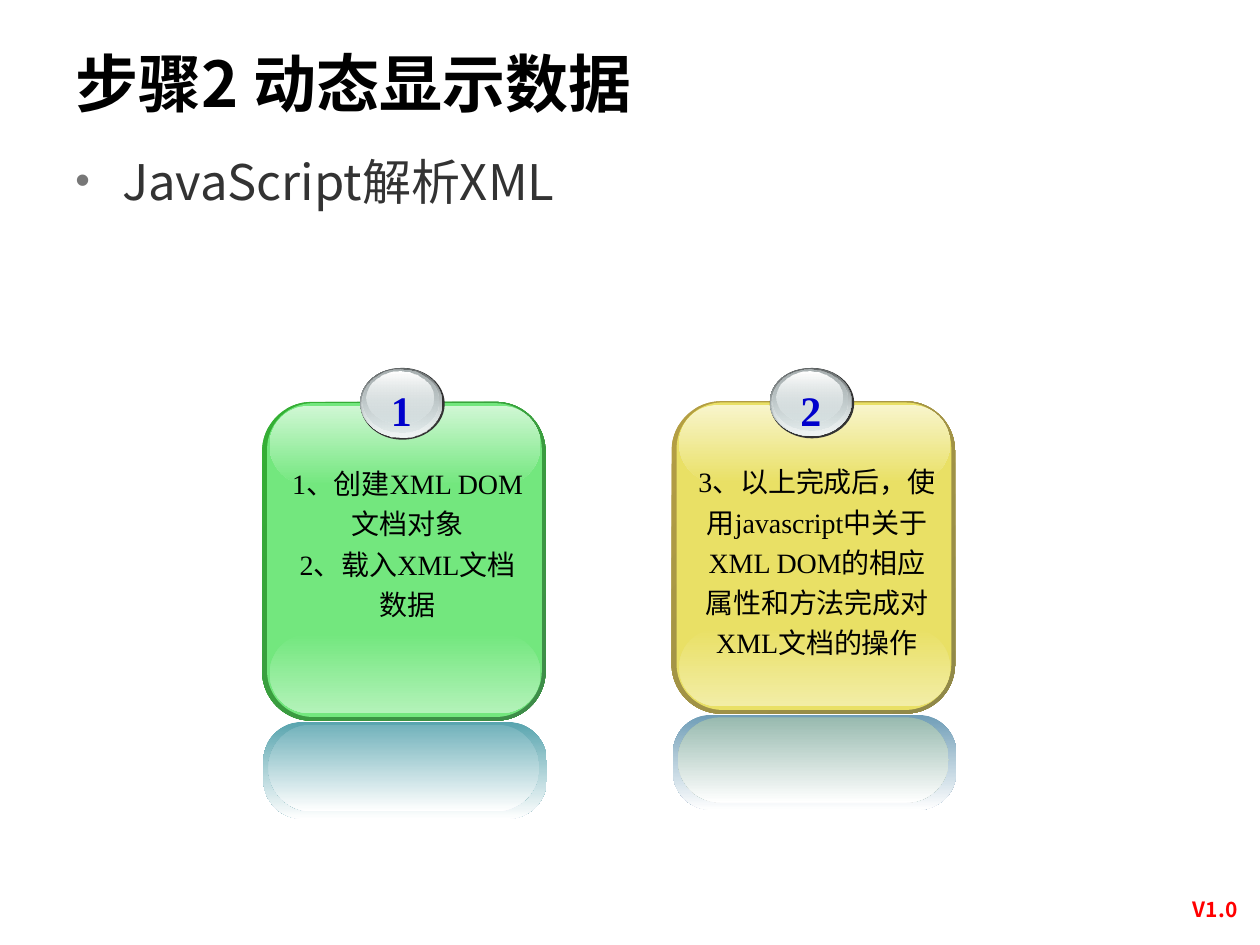
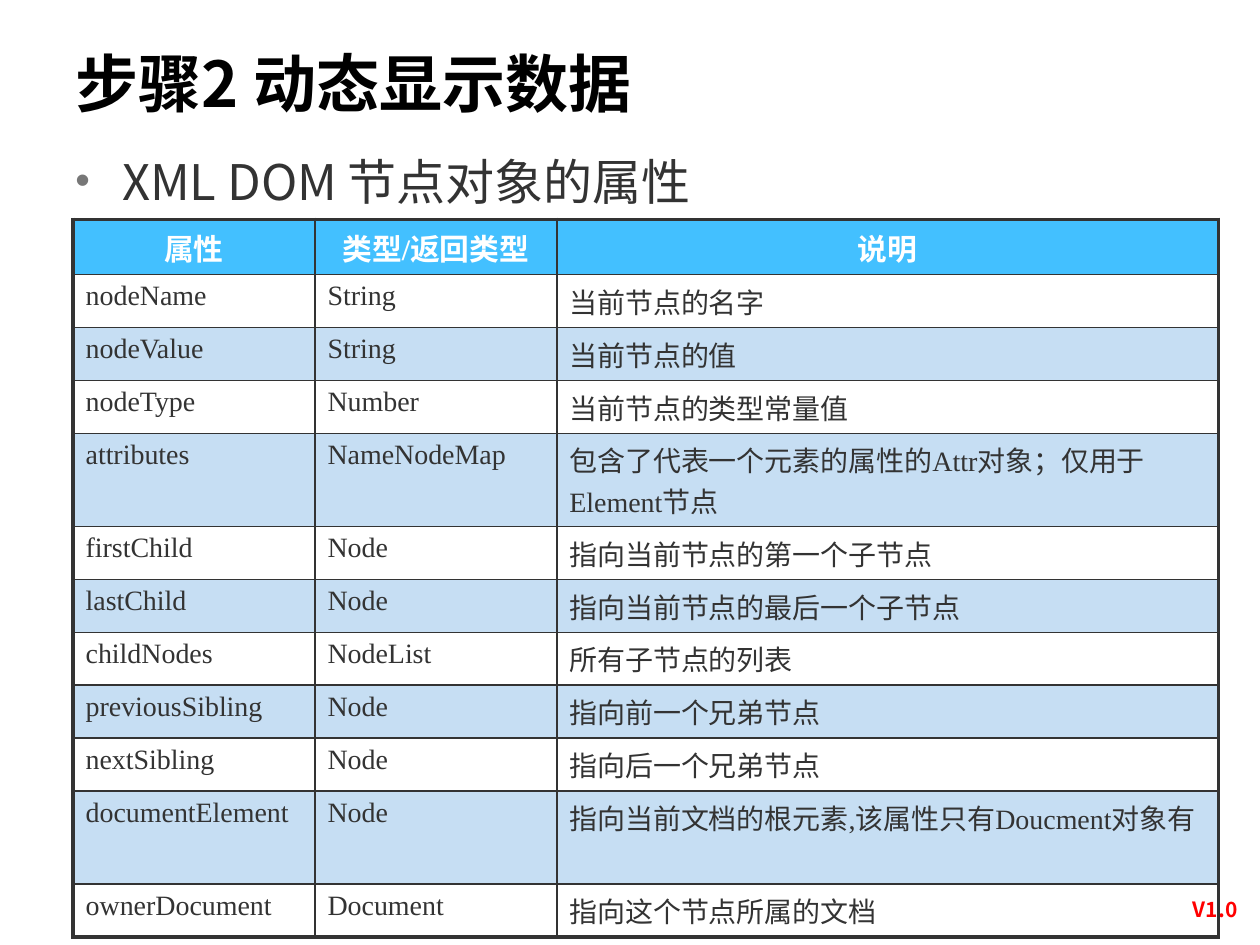
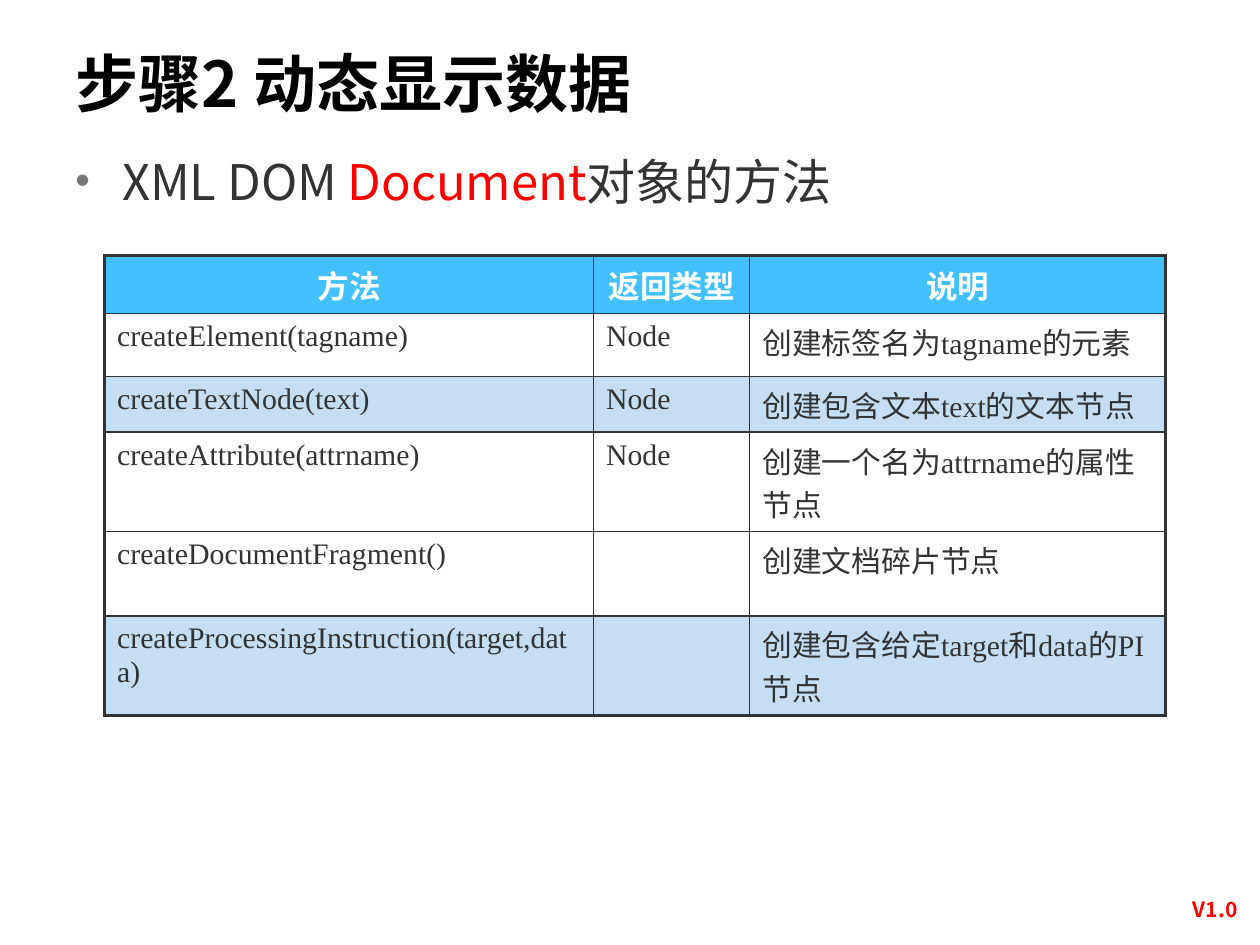
"""Build three slides on showing XML data dynamically with JavaScript."""
from dataclasses import dataclass
from typing import NamedTuple

import pptx
import pptx.dml.color
import pptx.enum.shapes
import pptx.enum.text
import pptx.oxml
import pptx.oxml.ns
import pptx.util
from lxml import etree

Inches = pptx.util.Inches
Pt = pptx.util.Pt
qn = pptx.oxml.ns.qn
ROUND = pptx.enum.shapes.MSO_SHAPE.ROUNDED_RECTANGLE
OVAL = pptx.enum.shapes.MSO_SHAPE.OVAL
CENTER = pptx.enum.text.PP_ALIGN.CENTER
LEFT = pptx.enum.text.PP_ALIGN.LEFT

SANS = "Noto Sans CJK SC"
SERIF = "Times New Roman"
TITLE = "步骤2 动态显示数据"
COLORS = {
    "white": "FFFFFF", "black": "000000", "text": "333333", "red": "FF0000",
    "number": "0000CC", "bullet": "777777", "header": "43C0FF", "band": "C6DEF3",
    "steel": "636869", "silver": "D6E1E2", "mist": "F1F5F5", "ash": "AAB2B3",
    "green_edge": "34B034", "green_edge_end": "3F8B4A", "green_face": "73E77E",
    "green_low": "B3F2B9", "green_high": "D0F7D4",
    "green_mirror": "58A4AE", "green_mirror_in": "72B2BB",
    "yellow_edge": "B59F43", "yellow_edge_end": "8F8849", "yellow_face": "E9E065",
    "yellow_low": "F2EDA6", "yellow_high": "F8F5CC",
    "yellow_mirror": "6F9DB7", "yellow_mirror_in": "98BAAF",
}


class Box(NamedTuple):
    left: float
    top: float
    width: float
    height: float


class Stop(NamedTuple):
    color: str
    opacity: int = 100


class Layer(NamedTuple):
    shape: int
    box: Box
    stops: tuple[Stop, ...]
    adj: float | None = None
    angle: int = 90


@dataclass
class Card:
    hue: str
    dx: float
    scale: float
    number: str
    height: float
    lines: tuple[str, ...]


@dataclass
class Grid:
    left: float
    top: float
    cols: tuple[float, ...]
    heights: tuple[float, ...]
    size: int
    bands: tuple[int, ...]
    rows: tuple[tuple[str, ...], ...]


CARD_TOP = 2.92
BODY_LAYERS = (
    Layer(ROUND, Box(2.08, 3.19, 2.25, 2.53), (Stop("edge"), Stop("edge_end")), 0.175, 45),
    Layer(ROUND, Box(2.12, 3.2, 2.18, 2.49), (Stop("face"),), 0.167),
    Layer(ROUND, Box(2.14, 5.03, 2.15, 0.63), (Stop("face"), Stop("low")), 0.5),
    Layer(ROUND, Box(2.14, 3.22, 2.15, 0.63), (Stop("high"), Stop("face")), 0.5),
    Layer(OVAL, Box(2.86, 2.92, 0.67, 0.57), (Stop("text"),)),
    Layer(OVAL, Box(2.86, 2.92, 0.65, 0.55), (Stop("steel"), Stop("silver"))),
    Layer(OVAL, Box(2.87, 2.93, 0.63, 0.54), (Stop("silver", 0), Stop("mist"))),
    Layer(OVAL, Box(2.88, 2.93, 0.6, 0.5), (Stop("ash"), Stop("silver", 48))),
    Layer(OVAL, Box(2.91, 2.95, 0.53, 0.41), (Stop("white"), Stop("silver", 38))),
)
MIRROR_LAYERS = (
    Layer(ROUND, Box(2.09, 5.73, 2.25, 0.77), (Stop("mirror"), Stop("white")), 0.404),
    Layer(ROUND, Box(2.13, 5.75, 2.15, 0.69), (Stop("mirror_in"), Stop("white")), 0.5),
)
CARDS = (
    Card("green", 0, 1, "1", 1.38, ("1、创建XML DOM文档对象", "2、载入XML文档数据")),
    Card("yellow", 3.25, 0.98, "2", 1.71,
         ("3、以上完成后，使用javascript中关于XML DOM的相应属性和方法完成对XML文档的操作",)),
)
PROPERTIES = Grid(
    0.58, 1.74, (1.92, 1.92, 5.25), (0.44, *[0.42] * 3, 0.74, *[0.42] * 5, 0.74, 0.42),
    16, (2, 4, 6, 8, 10),
    (
        ("属性", "类型/返回类型", "说明"),
        ("nodeName", "String", "当前节点的名字"),
        ("nodeValue", "String", "当前节点的值"),
        ("nodeType", "Number", "当前节点的类型常量值"),
        ("attributes", "NameNodeMap", "包含了代表一个元素的属性的Attr对象；仅用于Element节点"),
        ("firstChild", "Node", "指向当前节点的第一个子节点"),
        ("lastChild", "Node", "指向当前节点的最后一个子节点"),
        ("childNodes", "NodeList", "所有子节点的列表"),
        ("previousSibling", "Node", "指向前一个兄弟节点"),
        ("nextSibling", "Node", "指向后一个兄弟节点"),
        ("documentElement", "Node", "指向当前文档的根元素,该属性只有Doucment对象有"),
        ("ownerDocument", "Document", "指向这个节点所属的文档"),
    ),
)
METHODS = Grid(
    0.83, 2.03, (3.88, 1.24, 3.3), (0.46, 0.5, 0.44, 0.79, 0.67, 0.79), 17, (2, 5),
    (
        ("方法", "返回类型", "说明"),
        ("createElement(tagname)", "Node", "创建标签名为tagname的元素"),
        ("createTextNode(text)", "Node", "创建包含文本text的文本节点"),
        ("createAttribute(attrname)", "Node", "创建一个名为attrname的属性节点"),
        ("createDocumentFragment()", "", "创建文档碎片节点"),
        ("createProcessingInstruction(target,data)", "", "创建包含给定target和data的PI节点"),
    ),
)


def rgb(name: str) -> pptx.dml.color.RGBColor:
    return pptx.dml.color.RGBColor.from_string(COLORS[name])


def inches(box: Box) -> list[int]:
    return [Inches(v) for v in box]


def write(p, text: str, *, size: int, color: str = "text", font: str = SERIF,
          bold: bool = False, align=LEFT, spacing: float | None = None) -> None:
    p.alignment = align
    p.line_spacing = spacing
    r = p.add_run()
    r.text = text
    r.font.size, r.font.bold, r.font.name = Pt(size), bold, font
    r.font.color.rgb = rgb(color)
    etree.SubElement(r.font._element, qn("a:ea"), typeface=SANS)


def add_text(shapes, box: Box, wrap: bool = True):
    tf = shapes.add_textbox(*inches(box)).text_frame
    tf.word_wrap = wrap
    return tf


def add_bullet(p) -> None:
    pPr = p._p.get_or_add_pPr()
    pPr.set("marL", str(Inches(0.37)))
    pPr.set("indent", str(-Inches(0.37)))
    clr = etree.SubElement(pPr, qn("a:buClr"))
    etree.SubElement(clr, qn("a:srgbClr"), val=COLORS["bullet"])
    etree.SubElement(pPr, qn("a:buSzPct"), val="85000")
    etree.SubElement(pPr, qn("a:buFont"), typeface="Arial")
    etree.SubElement(pPr, qn("a:buChar"), char="•")


def add_slide(prs, *runs: tuple[str, str]):
    s = prs.slides.add_slide(prs.slide_layouts[5])
    version = add_text(s.shapes, Box(9.25, 7.07, 0.79, 0.3))
    write(version.paragraphs[0], "V1.0", size=12, color="red", font=SANS, bold=True, align=CENTER)

    title = s.shapes.title
    title.left, title.top, title.width, title.height = inches(Box(0.5, 0.27, 7.97, 0.77))
    title.text_frame.vertical_anchor = pptx.enum.text.MSO_ANCHOR.MIDDLE
    write(title.text_frame.paragraphs[0], TITLE, size=36, color="black", font=SANS, bold=True)

    p = add_text(s.shapes, Box(0.5, 1.15, 8.91, 5.43)).paragraphs[0]
    for text, color in runs:
        write(p, text, size=28, color=color, font=SANS)
    add_bullet(p)
    return s


def add_layer(shapes, layer: Layer, card: Card) -> None:
    box = layer.box
    top = CARD_TOP + (box.top - CARD_TOP) * card.scale
    sp = shapes.add_shape(layer.shape, *inches(
        Box(box.left + card.dx, top, box.width, box.height * card.scale)))
    sp.shadow.inherit = False
    sp.line.fill.background()
    if layer.adj is not None:
        sp.adjustments[0] = layer.adj
    names = [f"{card.hue}_{stop.color}" for stop in layer.stops]
    names = [n if n in COLORS else stop.color for n, stop in zip(names, layer.stops)]
    if len(names) == 1:
        sp.fill.solid()
        sp.fill.fore_color.rgb = rgb(names[0])
        return
    sp.fill.gradient()
    sp.fill.gradient_angle = 360 - layer.angle
    for i, (gs, name) in enumerate(zip(sp.fill.gradient_stops, names)):
        gs.position = i
        gs.color.rgb = rgb(name)
    for clr, stop in zip(sp._element.iter(qn("a:srgbClr")), layer.stops):
        if stop.opacity < 100:
            etree.SubElement(clr, qn("a:alpha"), val=str(stop.opacity * 1000))


def add_card(s, card: Card) -> None:
    shapes = s.shapes.add_group_shape().shapes
    for layer in BODY_LAYERS:
        add_layer(shapes, layer, card)
    tf = add_text(shapes, Box(3 + card.dx, 3, 0.37, 0.5), wrap=False)
    write(tf.paragraphs[0], card.number, size=24, color="number", bold=True, align=CENTER)
    top = CARD_TOP + 0.68 * card.scale
    tf = add_text(shapes, Box(2.17 + card.dx, top, 2.13, card.height))
    for i, line in enumerate(card.lines):
        p = tf.add_paragraph() if i else tf.paragraphs[0]
        write(p, line, size=16, color="black", align=CENTER, spacing=1.2)
    for layer in MIRROR_LAYERS:
        add_layer(shapes, layer, card)


def add_borders(cell, **outer: bool) -> None:
    tcPr = cell._tc.get_or_add_tcPr()
    for side, is_outer in outer.items():
        ln = etree.SubElement(tcPr, qn(f"a:ln{side}"), w=str(Pt(2.25 if is_outer else 1)))
        fill = etree.SubElement(ln, qn("a:solidFill"))
        etree.SubElement(fill, qn("a:srgbClr"), val=COLORS["text"])


def add_grid(s, grid: Grid) -> None:
    n_rows, n_cols = len(grid.rows), len(grid.cols)
    box = Box(grid.left, grid.top, sum(grid.cols), sum(grid.heights))
    table = s.shapes.add_table(n_rows, n_cols, *inches(box)).table
    table.first_row = table.horz_banding = False
    for col, width in zip(table.columns, grid.cols):
        col.width = Inches(width)
    for row, height in zip(table.rows, grid.heights):
        row.height = Inches(height)
    for i, texts in enumerate(grid.rows):
        for j, text in enumerate(texts):
            cell = table.cell(i, j)
            add_borders(cell, L=j == 0, R=j == n_cols - 1, T=i == 0, B=i == n_rows - 1)
            if i == 0 or i in grid.bands:
                cell.fill.solid()
                cell.fill.fore_color.rgb = rgb("band" if i else "header")
            else:
                cell.fill.background()
            p = cell.text_frame.paragraphs[0]
            if i == 0:
                write(p, text, size=grid.size + 1, color="white", bold=True, align=CENTER)
            elif text:
                write(p, text, size=grid.size)


def main() -> None:
    prs = pptx.Presentation()
    prs.slide_width, prs.slide_height = Inches(10), Inches(7.5)

    s = add_slide(prs, ("JavaScript解析XML", "text"))
    for card in CARDS:
        add_card(s, card)

    s = add_slide(prs, ("XML DOM 节点对象的属性", "text"))
    add_grid(s, PROPERTIES)

    s = add_slide(prs, ("XML DOM ", "text"), ("Document", "red"), ("对象的方法", "text"))
    add_grid(s, METHODS)

    prs.save("out.pptx")


if __name__ == "__main__":
    main()
